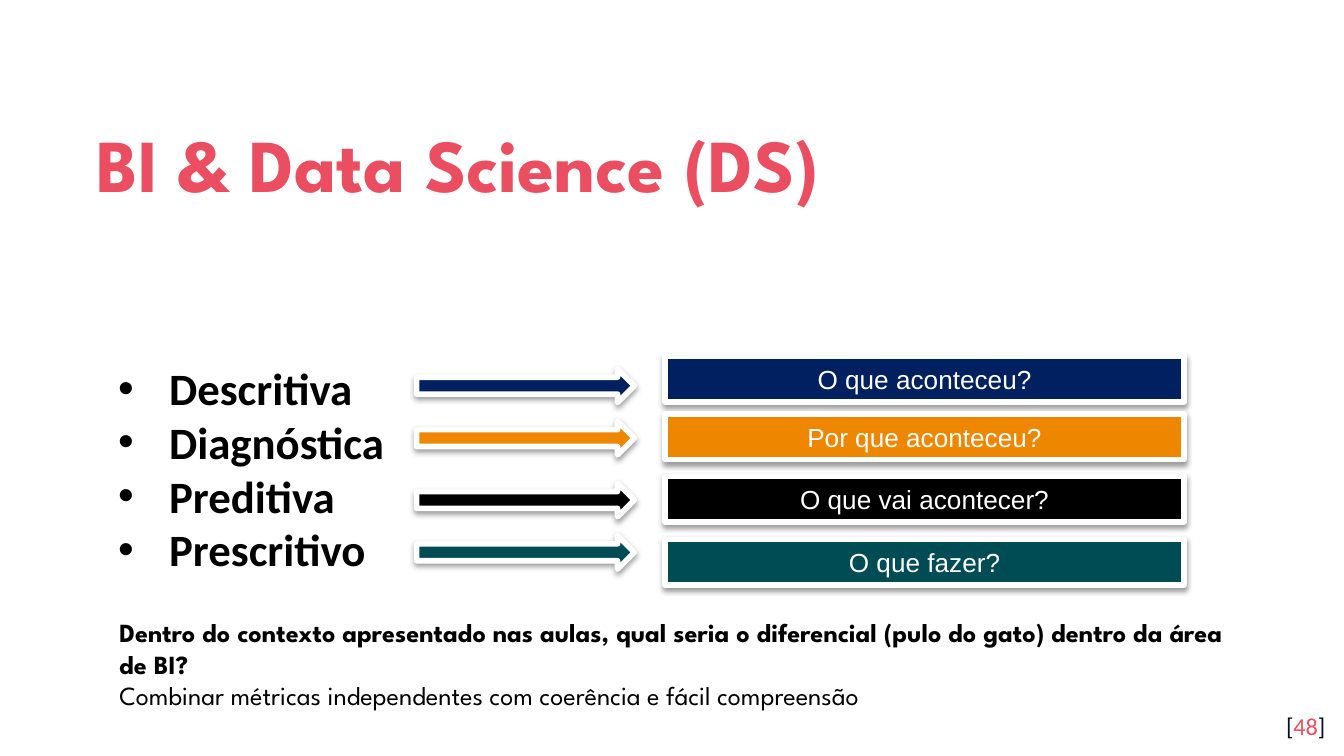
from dataclasses import dataclass

from lxml.etree import SubElement
from pptx import Presentation
from pptx.dml.color import RGBColor
from pptx.enum.shapes import MSO_SHAPE as Shape
from pptx.enum.text import MSO_ANCHOR as Anchor, PP_ALIGN as Align
from pptx.oxml.ns import qn
from pptx.util import Inches, Pt


@dataclass(frozen=True)
class Theme:
    accent: str = "EA4E60"
    dark: str = "040A24"
    black: str = "000000"
    white: str = "FFFFFF"
    navy: str = "002060"
    orange: str = "EF8600"
    teal: str = "004C54"
    display: str = "League Spartan"
    body: str = "Calibri"
    label: str = "Arial"
    title_size: int = 40
    list_size: int = 24
    text_size: int = 14
    number_size: int = 13


class SlideBuilder:
    cell = 0.1

    def __init__(self, presentation, theme):
        self.theme = theme
        self.slide = presentation.slides.add_slide(presentation.slide_layouts[6])

    def place(self, *cells):
        return [Inches(count * self.cell) for count in cells]

    def style(self, font, name, size, color, bold=False):
        font.name, font.size, font.bold = name, Pt(size), bold
        font.color.rgb = RGBColor.from_string(color)

    def text_box(self, area, anchor=Anchor.TOP, inset=0.1):
        frame = self.slide.shapes.add_textbox(*self.place(*area)).text_frame
        frame.word_wrap = True
        frame.vertical_anchor = anchor
        frame.margin_top = frame.margin_bottom = Inches(inset)
        return frame

    def title(self, text, area):
        paragraph = self.text_box(area, Anchor.MIDDLE).paragraphs[0]
        paragraph.text = text
        paragraph.line_spacing = 1.15
        self.style(paragraph.font, self.theme.display, self.theme.title_size,
                   self.theme.accent, True)

    def page_number(self, number, area):
        theme = self.theme
        paragraph = self.text_box(area).paragraphs[0]
        paragraph.alignment = Align.RIGHT
        for text, color in (("[", theme.dark), (number, theme.accent), ("]", theme.dark)):
            run = paragraph.add_run()
            run.text = text
            self.style(run.font, theme.body, theme.number_size, color)

    def bullet_list(self, items, area):
        frame = self.text_box(area, Anchor.MIDDLE)
        for index, item in enumerate(items):
            paragraph = frame.add_paragraph() if index else frame.paragraphs[0]
            paragraph.text = item
            paragraph.alignment = Align.JUSTIFY
            properties = paragraph._p.get_or_add_pPr()
            properties.set("marL", str(Inches(0.46)))
            properties.set("indent", str(Inches(-0.38)))
            bullet_color = SubElement(properties, qn("a:buClr"))
            SubElement(bullet_color, qn("a:srgbClr"), val=self.theme.black)
            SubElement(properties, qn("a:buFont"), typeface=self.theme.label)
            SubElement(properties, qn("a:buChar"), char="•")
            self.style(paragraph.font, self.theme.body, self.theme.list_size,
                       self.theme.black, True)

    def block(self, kind, color, area):
        shape = self.slide.shapes.add_shape(kind, *self.place(*area))
        shape.fill.solid()
        shape.fill.fore_color.rgb = RGBColor.from_string(color)
        shape.line.color.rgb = RGBColor.from_string(self.theme.white)
        shape.line.width = Pt(3)
        shape.shadow.inherit = False
        effects = shape._element.spPr.find(qn("a:effectLst"))
        shadow = SubElement(effects, qn("a:outerShdw"), blurRad=str(Pt(3.1)),
                            dist=str(Pt(1.6)), dir="5400000", rotWithShape="0")
        tint = SubElement(shadow, qn("a:srgbClr"), val=self.theme.black)
        SubElement(tint, qn("a:alpha"), val="38000")
        return shape

    def arrow(self, color, area):
        self.block(Shape.RIGHT_ARROW, color, area)

    def label(self, text, color, area):
        frame = self.block(Shape.RECTANGLE, color, area).text_frame
        frame.vertical_anchor = Anchor.MIDDLE
        paragraph = frame.paragraphs[0]
        paragraph.text = text
        paragraph.alignment = Align.CENTER
        self.style(paragraph.font, self.theme.label, self.theme.text_size, self.theme.white)

    def question(self, question, answer, area):
        paragraph = self.text_box(area, inset=0.05).paragraphs[0]
        for text, bold in ((question, True), (answer, False)):
            if paragraph.runs:
                paragraph.add_line_break()
            run = paragraph.add_run()
            run.text = text
            self.style(run.font, self.theme.display, self.theme.text_size,
                       self.theme.black, bold)


def main():
    presentation = Presentation()
    presentation.slide_width = Inches(10)
    presentation.slide_height = presentation.slide_width * 9 // 16
    theme = Theme()
    builder = SlideBuilder(presentation, theme)

    stages = [
        ("Descritiva", "O que aconteceu?", theme.navy, 27.45, 26.5),
        ("Diagnóstica", "Por que aconteceu?", theme.orange, 31.35, 30.8),
        ("Preditiva", "O que vai acontecer?", theme.black, 35.95, 35.45),
        ("Prescritivo", "O que fazer?", theme.teal, 39.85, 40.15),
    ]
    builder.title("BI & Data Science (DS)", (6.2, 7, 87.7, 9.2))
    builder.page_number("48", (93.6, 51.9, 6, 4.3))
    builder.bullet_list([stage[0] for stage in stages], (7, 24.3, 30.9, 21.1))
    for _, text, color, arrow_row, label_row in stages:
        builder.arrow(color, (31, arrow_row, 16.2, 2.5))
        builder.label(text, color, (49.5, label_row, 38.6, 3.4))
    builder.question(
        "Dentro do contexto apresentado nas aulas, qual seria o diferencial "
        "(pulo do gato) dentro da área de BI?",
        "Combinar métricas independentes com coerência e fácil compreensão",
        (7.9, 45.4, 84.6, 8.1))
    presentation.save("out.pptx")


if __name__ == "__main__":
    main()
